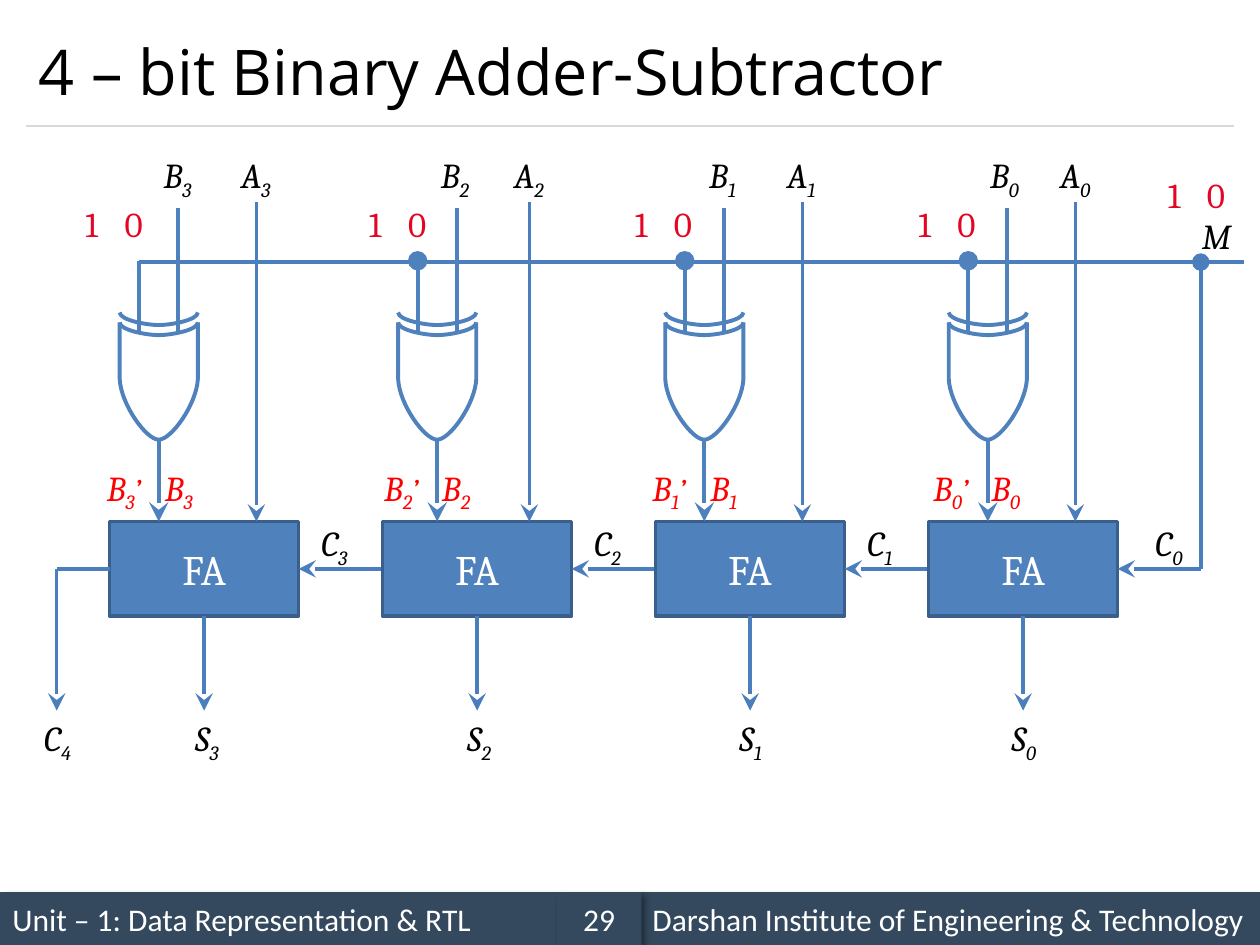
"""Build a slide showing a 4-bit binary adder-subtractor circuit."""
from dataclasses import dataclass

import lxml.etree
import pptx
import pptx.dml.color
import pptx.enum.shapes
import pptx.enum.text
import pptx.oxml.ns
import pptx.util

HEADING = "4 – bit Binary Adder-Subtractor"
UNIT = "Unit – 1: Data Representation & RTL"
PAGE = "29"
INSTITUTE = "Darshan Institute of Engineering & Technology"
ADDER = "FA"
BITS = (3, 2, 1, 0)
MODE = "M"
MODE_VALUES = ("1", "0")


@dataclass(frozen=True)
class Theme:
    ink: str = "000000"
    paper: str = "FFFFFF"
    footer: str = "34495E"
    rule: str = "D9D9D9"
    adder: str = "4F81BD"
    adder_edge: str = "3A5F8C"
    wire: str = "4B7EBC"
    digit: str = "E40524"
    result: str = "FF0000"
    heading_font: str = "Open Sans"
    footer_font: str = "Calibri"
    circuit_font: str = "Cambria"
    heading_size: float = 36
    adder_size: float = 24
    label_size: float = 20
    small_size: float = 18
    wire_width: float = 2
    gate_width: float = 2.25
    rule_width: float = 0.75


THEME = Theme()
SLIDE_W, SLIDE_H = 10, 7.5
MARGIN = 0.21
STAGE_LEFT, STAGE_PITCH = 0.87, 6.5 / 3
ADDER_W, ADDER_H, ADDER_TOP = 1.5, 0.75, 4.14
ADDER_BOTTOM, CARRY_Y = ADDER_TOP + ADDER_H, ADDER_TOP + ADDER_H / 2
GATE_CENTRES = (1.26, 3.47, 5.59, 7.84)
B_LEFTS = (1.2, 3.4, 5.53, 7.76)
DIGIT_LEFTS = (0.58, 2.83, 4.94, 7.19)
SUM_LEFT, SUM_PITCH = 1.45, 2.16
GATE_HALF, INPUT_OFFSET = 0.31, 0.155
GATE_TOP, GATE_TIP, INPUT_END = 2.56, 3.49, 2.65
MODE_Y, MODE_X, MODE_END = 2.08, 9.53, 9.87
INPUT_ROW, DIGIT_ROW, RESULT_ROW, CARRY_ROW, SUM_ROW = 1.17, 1.56, 3.65, 4.09, 5.64
LABEL_W, LABEL_H, DIGIT_W, DIGIT_GAP = 0.46, 0.44, 0.36, 0.31
FOOTER_TOP, FOOTER_H = 7.08, 0.42
PANELS = ((0, 4.42, UNIT, False), (5.08, 4.92, INSTITUTE, False), (4.42, 0.67, PAGE, True))

deck = pptx.Presentation()
deck.slide_width, deck.slide_height = pptx.util.Inches(SLIDE_W), pptx.util.Inches(SLIDE_H)
slide = deck.slides.add_slide(deck.slide_layouts[6])


def rgb(code):
    return pptx.dml.color.RGBColor.from_string(code)


def inches(lengths):
    return [pptx.util.Inches(length) for length in lengths]


def add_child(parent, tag, **attributes):
    return lxml.etree.SubElement(parent, pptx.oxml.ns.qn(tag), attributes)


def write(text, holder, font, size, color, italic=False, centred=False, wrap=True):
    """Write text into a shape, lowering the character after an underscore."""
    frame = holder.text_frame
    frame.word_wrap = wrap
    anchor = pptx.enum.text.MSO_ANCHOR
    frame.vertical_anchor = anchor.MIDDLE if wrap else anchor.TOP
    paragraph = frame.paragraphs[0]
    align = pptx.enum.text.PP_ALIGN
    paragraph.alignment = align.CENTER if centred else align.LEFT
    base, _, rest = text.partition("_")
    for part, part_size, lowered in (
        (base, size, False), (rest[:1], size, True), (rest[1:], THEME.small_size, False),
    ):
        if part:
            run = paragraph.add_run()
            run.text = part
            run.font.name, run.font.size = font, pptx.util.Pt(part_size)
            run.font.italic, run.font.color.rgb = italic, rgb(color)
            if lowered:
                run.font._element.set("baseline", "-25000")


def label(text, left, top, width=LABEL_W, color=THEME.ink, italic=True):
    box = slide.shapes.add_textbox(*inches((left, top, width, LABEL_H)))
    write(text, box, THEME.circuit_font, THEME.label_size, color, italic=italic, wrap=False)
    box.text_frame.auto_size = pptx.enum.text.MSO_AUTO_SIZE.SHAPE_TO_FIT_TEXT


def digits(left, top):
    for place, value in enumerate(MODE_VALUES):
        label(value, left + place * DIGIT_GAP, top, DIGIT_W, THEME.digit, italic=False)


def panel(left, top, width, height, fill):
    block = slide.shapes.add_shape(
        pptx.enum.shapes.MSO_SHAPE.RECTANGLE, *inches((left, top, width, height)))
    block.shadow.inherit = False
    block.fill.solid()
    block.fill.fore_color.rgb = rgb(fill)
    block.line.fill.background()
    return block


def wire(start, end, color=THEME.wire, width=THEME.wire_width, head=None, tail=None):
    link = slide.shapes.add_connector(
        pptx.enum.shapes.MSO_CONNECTOR.STRAIGHT, *inches((*start, *end)))
    link.line.color.rgb = rgb(color)
    link.line.width = pptx.util.Pt(width)
    properties = link._element.spPr
    stroke = properties.find(pptx.oxml.ns.qn("a:ln"))
    for tag, ending in (("a:headEnd", head), ("a:tailEnd", tail)):
        if ending:
            add_child(stroke, tag, type=ending, w="lg", len="lg")
    add_child(properties, "a:effectLst")


def outline(start, *segments):
    """Draw an open path; a segment is an end point, or two controls and an end point."""
    builder = slide.shapes.build_freeform(*inches(start))
    builder.add_line_segments([inches(segment[-1]) for segment in segments], close=False)
    curve = builder.convert_to_shape()
    curve.shadow.inherit = False
    curve.fill.background()
    curve.line.color.rgb = rgb(THEME.adder)
    curve.line.width = pptx.util.Pt(THEME.gate_width)
    qn = pptx.oxml.ns.qn
    geometry = next(curve._element.iter(qn("a:path")))
    for straight, segment in zip(geometry.findall(qn("a:lnTo")), segments):
        if len(segment) == 3:
            bend = add_child(geometry, "a:cubicBezTo")
            for x, y in map(inches, segment):
                add_child(bend, "a:pt", x=str(x - curve.left), y=str(y - curve.top))
            geometry.replace(straight, bend)


def xor_gate(centre, dotted):
    left, right = centre - GATE_HALF, centre + GATE_HALF
    shoulder, tip = GATE_TOP + 0.45, (centre, GATE_TIP)
    stroke = {"color": THEME.adder, "width": THEME.gate_width}
    wire((centre - INPUT_OFFSET, MODE_Y - 0.01), (centre - INPUT_OFFSET, INPUT_END),
         head="oval" if dotted else None, **stroke)
    wire((centre + INPUT_OFFSET, 1.65), (centre + INPUT_OFFSET, INPUT_END), **stroke)
    wire(tip, (centre, ADDER_TOP), tail="stealth", **stroke)
    outline(
        (right, GATE_TOP),
        ((right, shoulder),),
        ((right - 0.01, 3.21), (centre + 0.1, GATE_TIP), tip),
        ((centre - 0.1, GATE_TIP), (left + 0.01, 3.21), (left, shoulder)),
        ((left, GATE_TOP),))
    for top in (GATE_TOP, GATE_TOP - 0.08):
        low = top + 0.1
        outline(
            (left, top),
            ((left, top + 0.06), (centre - 0.1, low), (centre, low)),
            ((centre + 0.1, low), (right, top + 0.06), (right, top)))


for left, width, caption, centred in PANELS:
    footer = panel(left, FOOTER_TOP, width, FOOTER_H, THEME.footer)
    effects = footer._element.spPr.find(pptx.oxml.ns.qn("a:effectLst"))
    shade = add_child(effects, "a:outerShdw", blurRad="50800", dist="38100", dir="2700000")
    add_child(add_child(shade, "a:srgbClr", val="000000"), "a:alpha", val="40000")
    write(caption, footer, THEME.footer_font, THEME.small_size, THEME.paper, centred=centred)

wire((MARGIN, 1), (SLIDE_W - MARGIN, 1), THEME.rule, THEME.rule_width)
heading = slide.shapes.add_textbox(*inches((MARGIN, 0.12, SLIDE_W - 2 * MARGIN, 0.88)))
write(HEADING, heading, THEME.heading_font, THEME.heading_size, THEME.ink)

wire((MODE_END, MODE_Y), (GATE_CENTRES[0] - INPUT_OFFSET, MODE_Y))
for stage, (bit, centre, b_left, digit_left) in enumerate(
        zip(BITS, GATE_CENTRES, B_LEFTS, DIGIT_LEFTS)):
    left = STAGE_LEFT + stage * STAGE_PITCH
    right, middle, a_wire = left + ADDER_W, left + ADDER_W / 2, left + 1.165
    last = stage == len(BITS) - 1
    adder = panel(left, ADDER_TOP, ADDER_W, ADDER_H, THEME.adder)
    adder.line.color.rgb = rgb(THEME.adder_edge)
    adder.line.width = pptx.util.Pt(THEME.wire_width)
    write(ADDER, adder, THEME.circuit_font, THEME.adder_size, THEME.paper, centred=True)
    wire((MODE_X if last else left + STAGE_PITCH, CARRY_Y), (right, CARRY_Y), tail="stealth")
    wire((a_wire, 1.6), (a_wire, ADDER_TOP), tail="stealth")
    wire((middle, ADDER_BOTTOM), (middle, SUM_ROW), tail="stealth")
    xor_gate(centre, dotted=stage > 0)
    label(f"A_{bit}", a_wire - 0.22, INPUT_ROW)
    label(f"B_{bit}", b_left, INPUT_ROW)
    label(f"B_{bit}’", b_left - 0.45, RESULT_ROW, 0.53, THEME.result)
    label(f"B_{bit}", b_left + 0.01, RESULT_ROW, color=THEME.result)
    label(f"C_{bit}", right + (0.2 if last else 0.08), CARRY_ROW)
    label(f"S_{bit}", SUM_LEFT + stage * SUM_PITCH, SUM_ROW, LABEL_H)
    digits(digit_left, DIGIT_ROW)

carry_x = 0.45
wire((STAGE_LEFT, CARRY_Y), (carry_x, CARRY_Y))
wire((carry_x, CARRY_Y), (carry_x, SUM_ROW), tail="stealth")
label(f"C_{len(BITS)}", carry_x - 0.2, SUM_ROW)
wire((MODE_X, MODE_Y), (MODE_X, CARRY_Y), head="oval")
label(MODE, MODE_X - 0.09, 1.65, 0.42)
digits(MODE_X - 0.36, 1.33)

deck.save("out.pptx")
